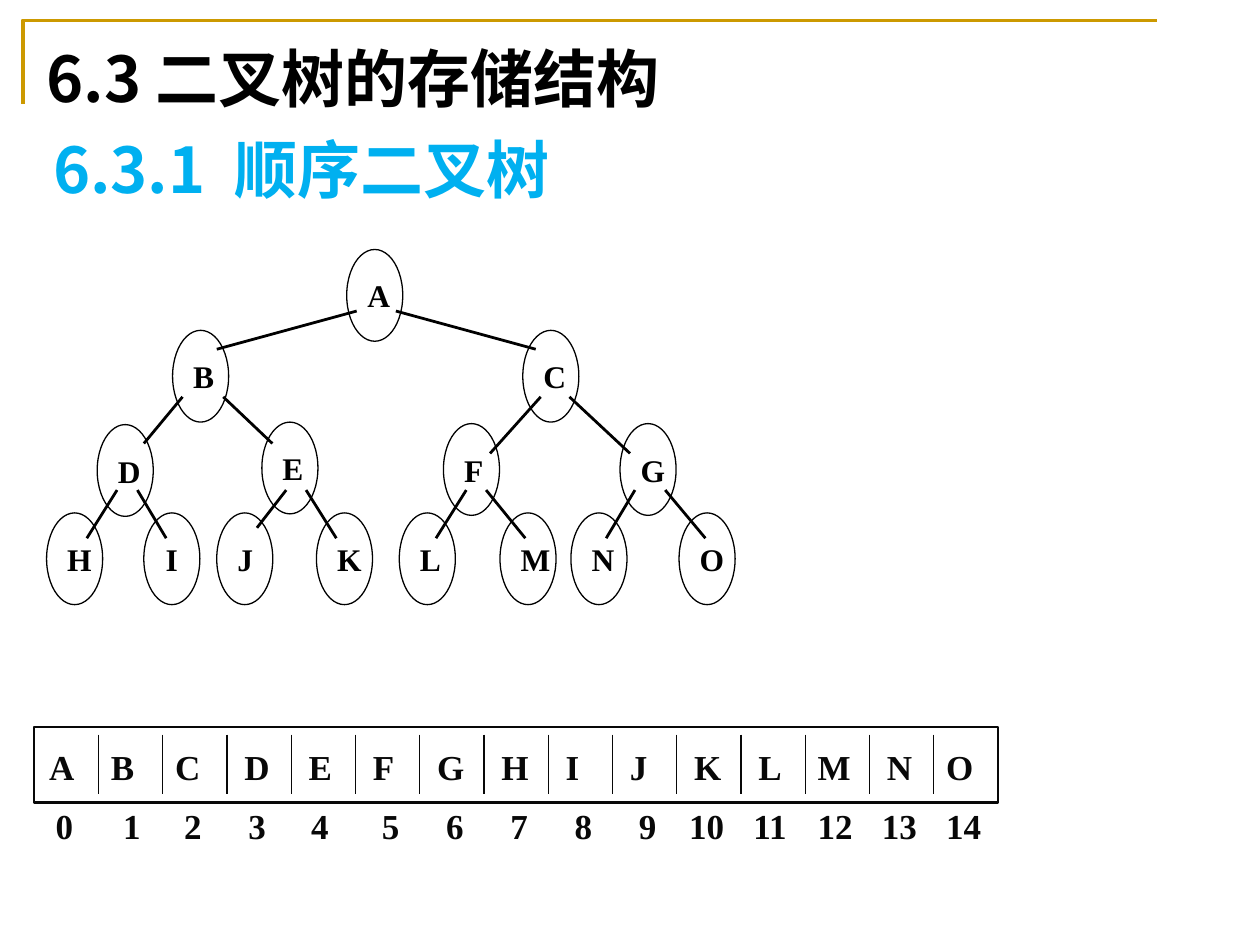
from lxml import etree
from pptx import Presentation
from pptx.dml.color import RGBColor
from pptx.enum.shapes import MSO_CONNECTOR, MSO_SHAPE
from pptx.enum.text import MSO_ANCHOR, MSO_AUTO_SIZE, PP_ALIGN
from pptx.oxml.ns import qn
from pptx.util import Cm, Pt

STRAIGHT = MSO_CONNECTOR.STRAIGHT
OVAL, RECTANGLE = MSO_SHAPE.OVAL, MSO_SHAPE.RECTANGLE
MIDDLE = MSO_ANCHOR.MIDDLE
NO_AUTOFIT = MSO_AUTO_SIZE.NONE
LEFT, CENTER = PP_ALIGN.LEFT, PP_ALIGN.CENTER
TITLE_ONLY = 5

HEADING_FONT, LABEL_FONT = "Noto Sans CJK JP", "Times New Roman"
BLACK, SOFT_BLACK, WHITE, GOLD, SKY = "000000", "080808", "FFFFFF", "CC9900", "00B0F0"

LETTERS = "ABCDEFGHIJKLMNO"
NODE_WIDTH, NODE_HEIGHT = 1.13, 1.85
# Left and top of each node inside the tree, in cm
NODES = {
    "A": (6.05, 0), "B": (2.54, 1.63), "C": (9.6, 1.63),
    "D": (1.02, 3.53), "E": (4.34, 3.48), "F": (8, 3.51), "G": (11.56, 3.51),
    "H": (0, 5.31), "I": (1.96, 5.31), "J": (3.43, 5.31), "K": (5.44, 5.31),
    "L": (7.11, 5.31), "M": (9.14, 5.31), "N": (10.57, 5.31), "O": (12.75, 5.31),
}
# Start x, start y, end x, end y of each branch inside the tree, in cm
BRANCHES = [
    (6.25, 1.24, 3.43, 2.01), (7.04, 1.24, 9.86, 2.01),
    (2.74, 2.97, 1.96, 3.91), (3.56, 2.97, 4.55, 3.91),
    (9.96, 2.97, 8.94, 4.11), (10.54, 2.97, 11.76, 4.11),
    (1.42, 4.85, 0.81, 5.82), (1.83, 4.85, 2.41, 5.82),
    (4.83, 4.85, 4.24, 5.61), (5.23, 4.85, 5.84, 5.82),
    (8.46, 4.85, 7.85, 5.82), (8.86, 4.85, 9.65, 5.82),
    (11.86, 4.85, 11.28, 5.82), (12.47, 4.85, 13.28, 5.82),
]
# Shift of each letter and index from the left of its cell, in cm
LETTER_SHIFTS = [0.05, 0, 0] + [0.1] * 9 + [0, 0.1, 0]
INDEX_SHIFTS = [0.18, 0.25, 0.18, 0.18, 0.15] + [0.28] * 5 + [0] * 5


def color(value):
    return RGBColor.from_string(value)


def set_text(shape, text, size, font_name, font_color, alignment=LEFT, wrap=True):
    frame = shape.text_frame
    frame.text = text
    frame.auto_size = NO_AUTOFIT
    frame.word_wrap = wrap
    frame.vertical_anchor = MIDDLE
    paragraph = frame.paragraphs[0]
    paragraph.alignment = alignment
    font = paragraph.runs[0].font
    font.size, font.bold, font.name = Pt(size), True, font_name
    font.color.rgb = color(font_color)
    run_properties = paragraph.runs[0]._r.get_or_add_rPr()
    east_asian = etree.SubElement(run_properties, qn("a:ea"))
    east_asian.set("typeface", font_name)


def set_outline(shape, line_color, width):
    shape.line.color.rgb = color(line_color)
    shape.line.width = Pt(width)
    shape.shadow.inherit = False


def add_line(shapes, x1, y1, x2, y2, line_color, width):
    line = shapes.add_connector(STRAIGHT, Cm(x1), Cm(y1), Cm(x2), Cm(y2))
    line.line.color.rgb = color(line_color)
    line.line.width = Pt(width)
    etree.SubElement(line._element.spPr, qn("a:effectLst"))


def add_label(shapes, text, left, top, width, height):
    label = shapes.add_textbox(Cm(left), Cm(top), Cm(width), Cm(height))
    set_text(label, text, 20, LABEL_FONT, SOFT_BLACK, wrap=False)


def add_corner_rule(slide, left, top, width, height):
    builder = slide.shapes.build_freeform(Cm(left), Cm(top + height))
    builder.add_line_segments(
        [(Cm(left), Cm(top)), (Cm(left + width), Cm(top))], close=False)
    rule = builder.convert_to_shape()
    rule.fill.background()
    set_outline(rule, GOLD, 2)


def add_headings(slide, left, top, width, height):
    title = slide.shapes.title
    title.left, title.top = Cm(left), Cm(top)
    title.width, title.height = Cm(width), Cm(height)
    set_text(title, "6.3 二叉树的存储结构", 36, HEADING_FONT, BLACK)
    subtitle = slide.shapes.add_textbox(
        Cm(left + 0.13), Cm(top + 1.85), Cm(width), Cm(height))
    set_text(subtitle, "6.3.1  顺序二叉树", 36, HEADING_FONT, SKY)


def add_tree(slide, left, top):
    shapes = slide.shapes.add_group_shape().shapes
    for letter, (x, y) in NODES.items():
        node = shapes.add_shape(
            OVAL, Cm(left + x), Cm(top + y), Cm(NODE_WIDTH), Cm(NODE_HEIGHT))
        node.fill.solid()
        node.fill.fore_color.rgb = color(WHITE)
        set_outline(node, BLACK, 0.75)
        set_text(node, letter, 18, LABEL_FONT, BLACK, CENTER)
    for x1, y1, x2, y2 in BRANCHES:
        add_line(shapes, left + x1, top + y1, left + x2, top + y2, BLACK, 1.6)


def add_array(slide, left, top, width, height):
    shapes = slide.shapes.add_group_shape().shapes
    frame = shapes.add_shape(RECTANGLE, Cm(left), Cm(top), Cm(width), Cm(height))
    frame.fill.background()
    set_outline(frame, SOFT_BLACK, 1.5)
    pitch = width / len(LETTERS)
    upper, lower = top + 0.15, top + 1.35
    for index, letter in enumerate(LETTERS):
        x = left + index * pitch
        if index:
            add_line(shapes, x, upper, x, lower, SOFT_BLACK, 0.75)
        add_label(shapes, letter, x + LETTER_SHIFTS[index], upper, 1.24, 1.27)
        index_width = 1.07 if index < 10 else 1.5
        add_label(shapes, str(index), x + INDEX_SHIFTS[index], lower, index_width, 1.27)


def main():
    presentation = Presentation()
    presentation.slide_width, presentation.slide_height = Cm(25.4), Cm(19.05)
    slide = presentation.slides.add_slide(presentation.slide_layouts[TITLE_ONLY])
    add_corner_rule(slide, 0.46, 0.41, 22.86, 1.68)
    add_headings(slide, 0.69, 0.66, 17.35, 1.78)
    add_tree(slide, 0.94, 5.03)
    add_array(slide, 0.69, 14.66, 19.43, 1.52)
    presentation.save("out.pptx")


if __name__ == "__main__":
    main()
